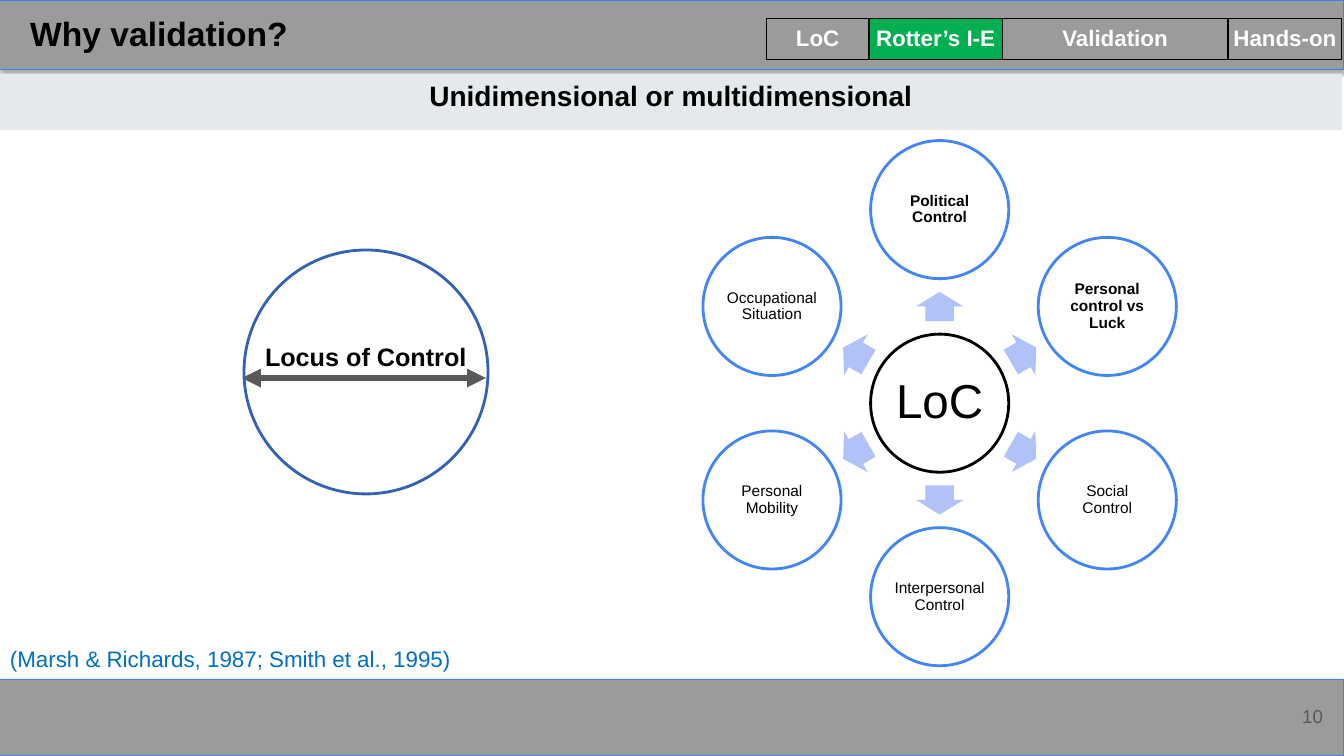
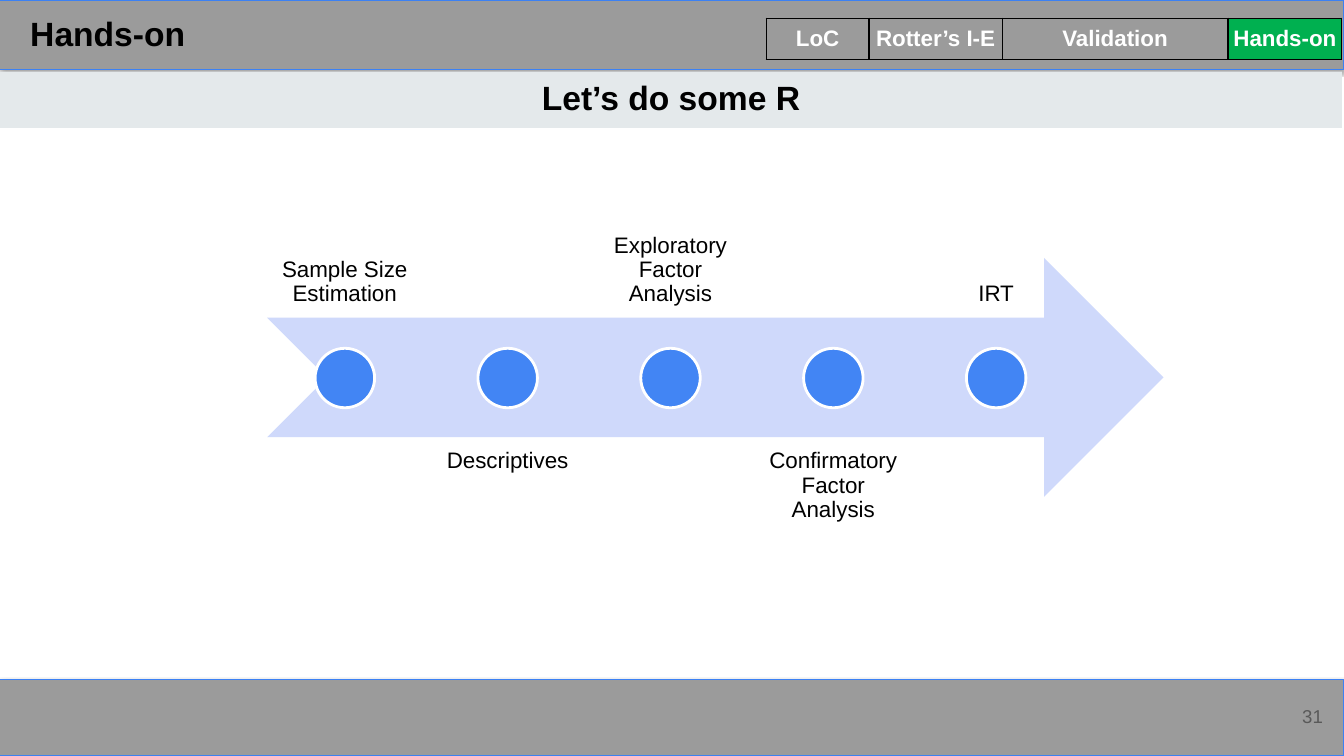
"""Build two slides on validating the locus of control scale."""
from dataclasses import dataclass
from math import cos, radians, sin
from typing import Optional

from pptx import Presentation
from pptx.dml.color import RGBColor
from pptx.enum.shapes import MSO_CONNECTOR, MSO_SHAPE
from pptx.enum.text import MSO_ANCHOR as Anchor, MSO_AUTO_SIZE, PP_ALIGN as Align
from pptx.oxml import parse_xml
from pptx.oxml.ns import nsdecls, qn
from pptx.util import Inches, Pt

FONT = "Arial"
COLORS = {
    "black": "000000", "white": "FFFFFF", "band": "9B9B9B", "band_line": "3C81F3",
    "subtitle": "E4E9EB", "grey": "595959", "active": "00B050", "cite": "0070C0",
    "blue": "4285F4", "ring": "3162B5", "spoke": "B0C2F8", "arrow": "CFD9FB",
}
WIDTH, HEIGHT = 13.33, 7.5
TABS = (("LoC", 1.02), ("Rotter’s I-E", 1.32), ("Validation", 2.24), ("Hands-on", 1.13))


@dataclass(frozen=True)
class Box:
    x: float
    y: float
    w: float
    h: float

    def inches(self) -> tuple:
        return Inches(self.x), Inches(self.y), Inches(self.w), Inches(self.h)


@dataclass(frozen=True)
class Style:
    size: float
    color: str = "black"
    bold: bool = False
    align: Align = Align.LEFT
    anchor: Anchor = Anchor.TOP
    inset: Optional[float] = None
    spacing: Optional[float] = None


@dataclass(frozen=True)
class Factor:
    label: str
    bold: bool = False


FACTORS = (
    Factor("Political Control", True), Factor("Personal control vs Luck", True),
    Factor("Social Control"), Factor("Interpersonal Control"),
    Factor("Personal Mobility"), Factor("Occupational Situation"),
)
STEPS = ("Sample Size Estimation", "Descriptives", "Exploratory Factor Analysis",
         "Confirmatory Factor Analysis", "IRT")


def rgb(name: str) -> RGBColor:
    return RGBColor.from_string(COLORS[name])


def centred(cx: float, cy: float, w: float, h: float) -> Box:
    return Box(cx - w / 2, cy - h / 2, w, h)


def write(tf, text: str, style: Style) -> None:
    tf.text = text
    tf.word_wrap = True
    tf.auto_size = MSO_AUTO_SIZE.NONE
    tf.vertical_anchor = style.anchor
    if style.inset is not None:
        tf.margin_left = tf.margin_right = Inches(style.inset)
        tf.margin_top = tf.margin_bottom = Inches(style.inset)
    format_text(tf, style)


def format_text(tf, style: Style) -> None:
    p = tf.paragraphs[0]
    p.alignment = style.align
    if style.spacing:
        p.line_spacing = style.spacing
    font = p.runs[0].font
    font.name, font.size, font.bold = FONT, Pt(style.size), style.bold
    font.color.rgb = rgb(style.color)


def add_shape(s, kind, box: Box, fill: Optional[str] = None,
              line: Optional[str] = None, width: float = 2):
    sp = s.shapes.add_shape(kind, *box.inches())
    sp.shadow.inherit = False
    if fill:
        sp.fill.solid()
        sp.fill.fore_color.rgb = rgb(fill)
    else:
        sp.fill.background()
    if line:
        sp.line.color.rgb = rgb(line)
        sp.line.width = Pt(width)
    else:
        sp.line.fill.background()
    return sp


def add_text(s, box: Box, text: str, style: Style):
    tb = s.shapes.add_textbox(*box.inches())
    write(tb.text_frame, text, style)
    return tb


def add_band(s, y: float, h: float) -> None:
    sp = add_shape(s, MSO_SHAPE.RECTANGLE, Box(0, y, WIDTH, h), "band", "band_line", 0.75)
    sp.element.spPr.find(qn("a:effectLst")).append(parse_xml(
        f'<a:outerShdw {nsdecls("a")} blurRad="{Pt(3.1)}" dist="{Pt(1.8)}" dir="5400000" '
        f'rotWithShape="0"><a:srgbClr val="{COLORS["black"]}"><a:alpha val="35000"/>'
        '</a:srgbClr></a:outerShdw>'))


def add_tabs(s, active: str) -> None:
    total = sum(width for _, width in TABS)
    table = s.shapes.add_table(1, len(TABS), *Box(7.6, 0.18, total, 0.41).inches()).table
    table.first_row = table.horz_banding = False
    style = Style(16, "white", True, Align.CENTER)
    for i, (label, width) in enumerate(TABS):
        table.columns[i].width = Inches(width)
        cell = table.cell(0, i)
        cell.text = label
        cell.vertical_anchor = Anchor.MIDDLE
        cell.margin_left = cell.margin_right = Inches(0.05)
        cell.margin_top = cell.margin_bottom = Inches(0.05)
        format_text(cell.text_frame, style)
        tc_pr = cell.fill and cell._tc.get_or_add_tcPr()
        for side in ("lnL", "lnR", "lnT", "lnB"):
            tc_pr.append(parse_xml(
                f'<a:{side} {nsdecls("a")} w="{Pt(1)}"><a:solidFill>'
                f'<a:srgbClr val="{COLORS["black"]}"/></a:solidFill></a:{side}>'))
        if label == active:
            cell.fill.solid()
            cell.fill.fore_color.rgb = rgb("active")
        else:
            cell.fill.background()


def add_slide(prs, title: str, number: int, active: str, subtitle: str,
              subtitle_y: float, subtitle_size: float):
    s = prs.slides.add_slide(prs.slide_layouts[5])
    add_band(s, 6.74, 0.76)
    add_band(s, 0, 0.69)
    add_text(s, Box(12.42, 6.82, 0.8, 0.57), str(number),
             Style(13.3, "grey", align=Align.RIGHT, anchor=Anchor.MIDDLE, inset=0.1))
    heading = s.shapes.title
    heading.left, heading.top, heading.width, heading.height = Box(0.2, 0.08, 12, 0.56).inches()
    write(heading.text_frame, title, Style(24, bold=True))
    heading.element.getparent().append(heading.element)
    sp = add_shape(s, MSO_SHAPE.RECTANGLE, Box(0, subtitle_y, 13.31, 0.56), "subtitle")
    write(sp.text_frame, subtitle, Style(subtitle_size, bold=True, align=Align.CENTER))
    add_tabs(s, active)
    return s


def add_double_arrow(s, x1: float, x2: float, y: float) -> None:
    cn = s.shapes.add_connector(MSO_CONNECTOR.STRAIGHT, Inches(x1), Inches(y),
                                Inches(x2), Inches(y))
    cn.line.color.rgb = rgb("grey")
    cn.line.width = Pt(4.5)
    sp_pr = cn.element.spPr
    for end in ("headEnd", "tailEnd"):
        sp_pr.find(qn("a:ln")).append(
            parse_xml(f'<a:{end} {nsdecls("a")} type="triangle"/>'))
    sp_pr.append(parse_xml(f'<a:effectLst {nsdecls("a")}/>'))


def add_circle(s, cx: float, cy: float, line: str, text: str, style: Style) -> None:
    sp = add_shape(s, MSO_SHAPE.OVAL, centred(cx, cy, 1.37, 1.37), "white", line)
    write(sp.text_frame, text, style)


def add_radial(s, cx: float, cy: float) -> None:
    middle = dict(align=Align.CENTER, anchor=Anchor.MIDDLE, spacing=0.9)
    add_circle(s, cx, cy, "black", "LoC", Style(34, inset=0.05, **middle))
    for i, factor in enumerate(FACTORS):
        angle = i * 360 / len(FACTORS) - 90
        dx, dy = cos(radians(angle)), sin(radians(angle))
        spoke = add_shape(s, MSO_SHAPE.RIGHT_ARROW,
                          centred(cx + 0.96 * dx, cy + 0.96 * dy, 0.29, 0.47), "spoke")
        spoke.adjustments[0], spoke.adjustments[1] = 0.6, 0.5
        spoke.rotation = angle % 360
        add_circle(s, cx + 1.92 * dx, cy + 1.92 * dy, "blue", factor.label,
                   Style(11, bold=factor.bold, inset=0.02, **middle))


def add_timeline(s) -> None:
    add_shape(s, MSO_SHAPE.NOTCHED_RIGHT_ARROW, Box(2.65, 2.56, 8.89, 2.37), "arrow")
    for i, step in enumerate(STEPS):
        x = 2.65 + i * 1.615
        y, anchor = (4.34, Anchor.TOP) if i % 2 else (0.79, Anchor.BOTTOM)
        add_text(s, Box(x, y, 1.54, 2.37), step,
                 Style(16, align=Align.CENTER, anchor=anchor, inset=0.12, spacing=0.9))
        add_shape(s, MSO_SHAPE.OVAL, centred(x + 0.77, 3.75, 0.59, 0.59), "blue", "white")


def main() -> None:
    prs = Presentation()
    prs.slide_width, prs.slide_height = Inches(WIDTH), Inches(HEIGHT)

    s = add_slide(prs, "Why validation?", 10, "Rotter’s I-E",
                  "Unidimensional or multidimensional", 0.73, 20)
    label = add_text(s, Box(2.53, 3.34, 2.22, 0.4), "Locus of Control", Style(18, bold=True))
    label.text_frame.word_wrap = False
    add_double_arrow(s, 2.4, 4.82, 3.75)
    add_radial(s, 9.32, 4)
    add_shape(s, MSO_SHAPE.OVAL, Box(2.42, 2.48, 2.42, 2.42), line="ring")
    add_text(s, Box(0, 6.35, 5.97, 0.37), "(Marsh & Richards, 1987; Smith et al., 1995)",
             Style(16, "cite"))

    s = add_slide(prs, "Hands-on", 31, "Hands-on", "Let’s do some R", 0.71, 24)
    add_timeline(s)
    prs.save("out.pptx")


if __name__ == "__main__":
    main()
